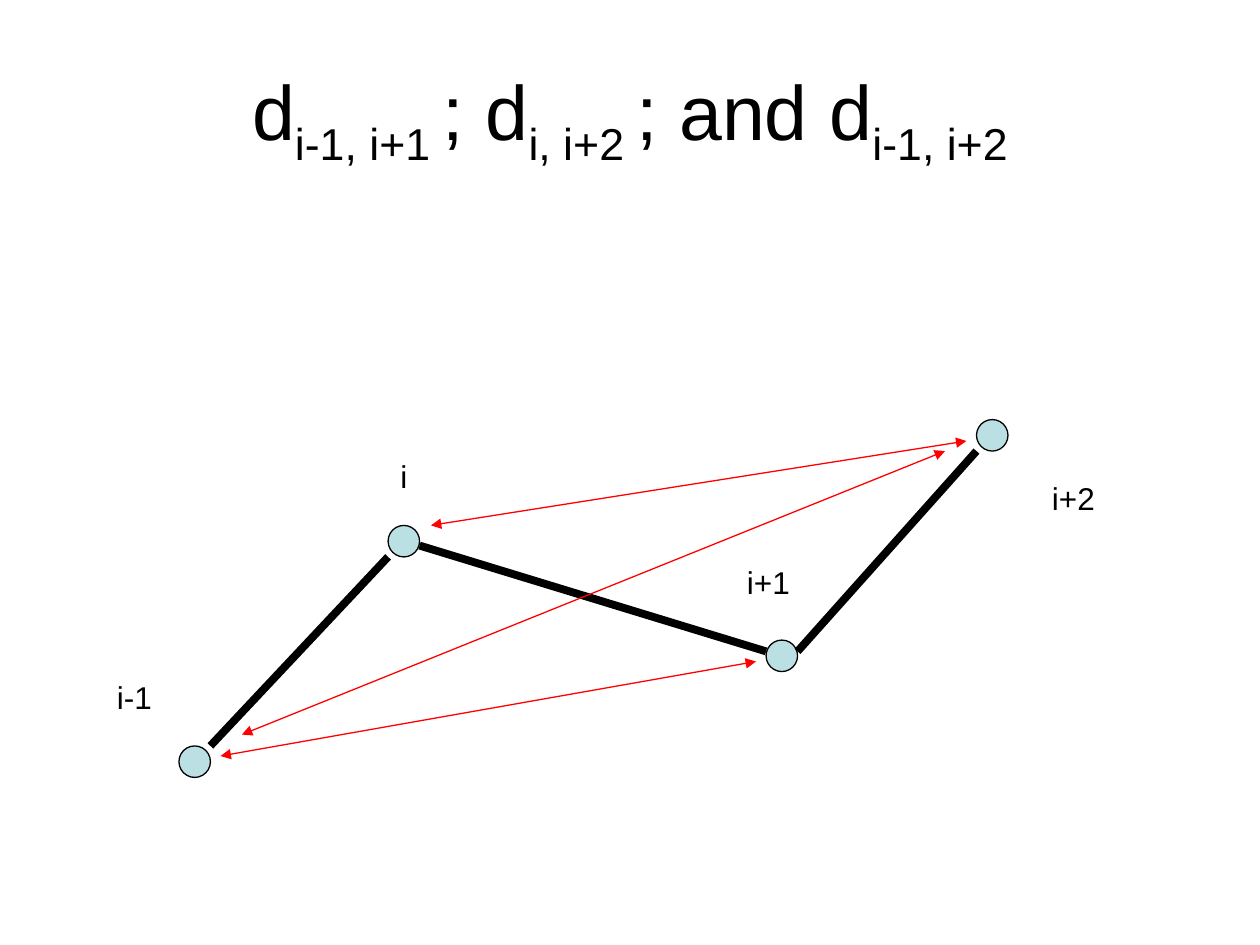
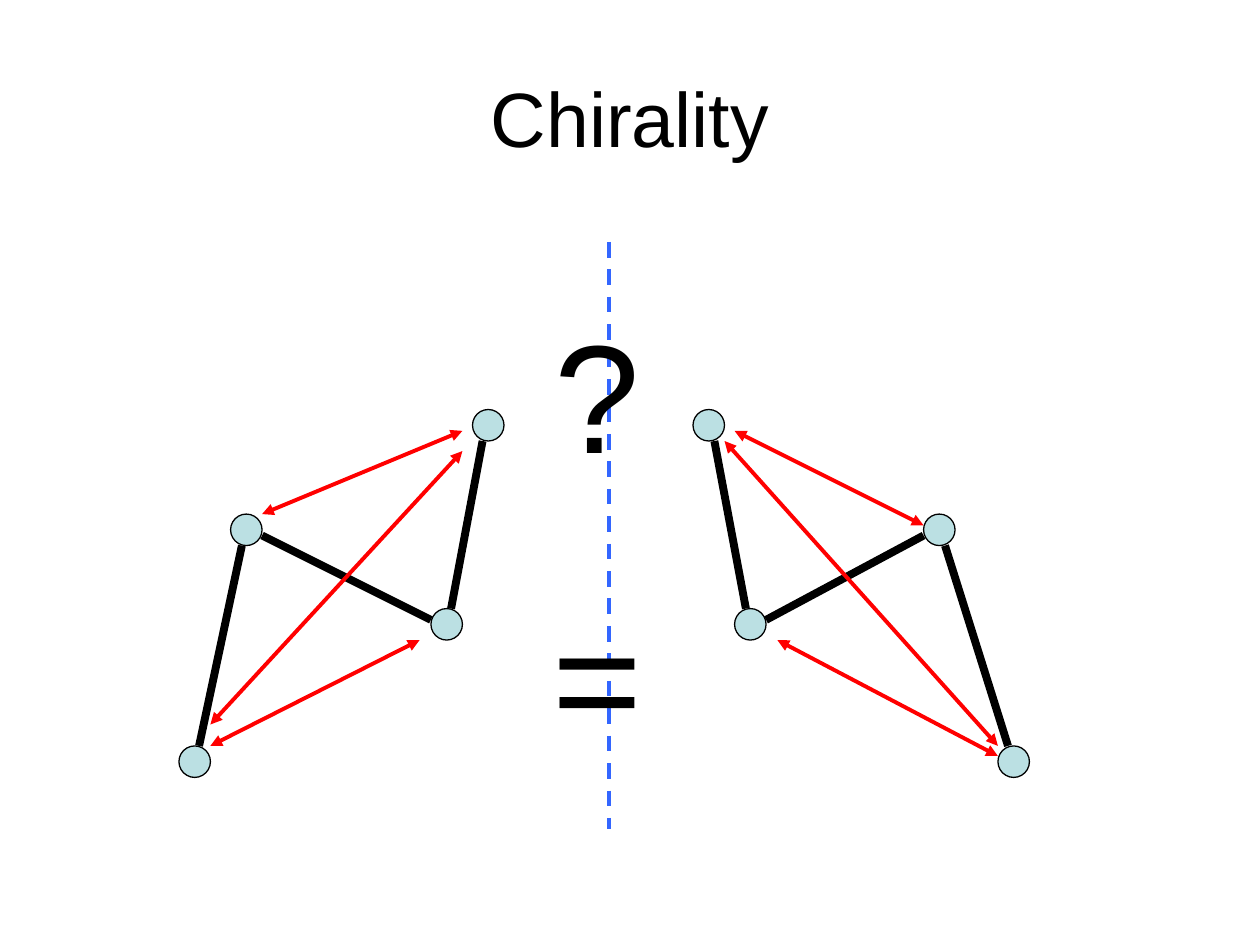
from lxml import etree
from pptx import Presentation
from pptx.dml.color import RGBColor
from pptx.enum.dml import MSO_LINE
from pptx.enum.shapes import MSO_CONNECTOR, MSO_SHAPE
from pptx.enum.text import MSO_ANCHOR, MSO_AUTO_SIZE, PP_ALIGN
from pptx.oxml.ns import qn
from pptx.util import Inches, Pt

STRAIGHT = MSO_CONNECTOR.STRAIGHT
OVAL = MSO_SHAPE.OVAL
DASH = MSO_LINE.DASH
LEFT, CENTER = PP_ALIGN.LEFT, PP_ALIGN.CENTER
MIDDLE = MSO_ANCHOR.MIDDLE
NO_AUTOFIT, GROW = MSO_AUTO_SIZE.NONE, MSO_AUTO_SIZE.SHAPE_TO_FIT_TEXT

COLORS = {"ink": "000000", "atom": "BBE0E3", "distance": "FF0000", "mirror": "3366FF"}
FONT = "Arial"
ATOM_SIZE = 0.25
BOND_WIDTH = 4.5
TITLE_BOX = (0.5, 0.3, 9, 1.25)


def color(name):
    return RGBColor.from_string(COLORS[name])


def style_runs(paragraph, size):
    for run in paragraph.runs:
        run.font.name = FONT
        run.font.size = Pt(size)
        run.font.color.rgb = color("ink")


def add_title_slide(prs, parts):
    slide = prs.slides.add_slide(prs.slide_layouts[5])
    title = slide.shapes.title
    title.left, title.top, title.width, title.height = map(Inches, TITLE_BOX)
    frame = title.text_frame
    frame.auto_size = NO_AUTOFIT
    frame.vertical_anchor = MIDDLE
    paragraph = frame.paragraphs[0]
    paragraph.alignment = CENTER
    for text, is_subscript in parts:
        run = paragraph.add_run()
        run.text = text
        if is_subscript:
            run._r.get_or_add_rPr().set("baseline", "-25000")
    style_runs(paragraph, 44)
    return slide


def add_line(slide, start, end, name, width, arrows=False, dash=None):
    line = slide.shapes.add_connector(STRAIGHT, *map(Inches, (*start, *end)))
    line.line.color.rgb = color(name)
    line.line.width = Pt(width)
    if dash:
        line.line.dash_style = dash
    if arrows:
        outline = line.line._get_or_add_ln()
        for tip in ("a:headEnd", "a:tailEnd"):
            etree.SubElement(outline, qn(tip), type="triangle")
    etree.SubElement(line._element.spPr, qn("a:effectLst"))


def add_text(slide, box, lines, size, align=LEFT, gap=0):
    frame = slide.shapes.add_textbox(*map(Inches, box)).text_frame
    frame.word_wrap = True
    frame.auto_size = GROW
    frame.text = "\n".join(lines)
    for index, paragraph in enumerate(frame.paragraphs):
        paragraph.alignment = align
        if index:
            paragraph.space_before = Pt(gap)
        style_runs(paragraph, size)


def add_chain(slide, origin, atoms, bonds, distances, arrow_width):
    def place(point):
        return origin[0] + point[0], origin[1] + point[1]

    for corner in atoms:
        atom = slide.shapes.add_shape(OVAL, *map(Inches, (*place(corner), ATOM_SIZE, ATOM_SIZE)))
        atom.shadow.inherit = False
        atom.fill.solid()
        atom.fill.fore_color.rgb = color("atom")
        atom.line.color.rgb = color("ink")
        atom.line.width = Pt(0.75)
    for start, end in bonds:
        add_line(slide, place(start), place(end), "ink", BOND_WIDTH)
    for start, end in distances:
        add_line(slide, place(start), place(end), "distance", arrow_width, arrows=True)


def add_atom_labels(slide, origin, labels):
    for text, left, top, width in labels:
        add_text(slide, (origin[0] + left, origin[1] + top, width, 0.4), [text], 18)


def add_mirror(slide, box):
    left, top, width, height = box
    axis = left + 1
    add_line(slide, (axis, top), (axis, top + height), "mirror", 2.25, dash=DASH)
    add_text(slide, (left, top + 0.41, width, 3.8), ["?", "="], 88, CENTER, 55)


def build_distances(prs):
    slide = add_title_slide(prs, [
        ("d", False), ("i-1, i+1 ", True), ("; d", False),
        ("i, i+2 ", True), ("; and d", False), ("i-1, i+2", True),
    ])
    origin = (1.42, 3.33)
    add_chain(
        slide, origin,
        atoms=[(0, 2.59), (1.66, 0.84), (4.66, 1.75), (6.33, 0)],
        bonds=[((0.25, 2.59), (1.66, 1.09)), ((1.91, 1), (4.66, 1.84)),
               ((4.91, 1.84), (6.33, 0.25))],
        distances=[((0.33, 2.67), (4.58, 1.92)), ((2, 0.84), (6.25, 0.17)),
                   ((0.5, 2.5), (6.08, 0.25))],
        arrow_width=0.75,
    )
    add_atom_labels(slide, origin, [
        ("i", 1.66, 0.25, 0.5), ("i+1", 4.41, 1.09, 0.83),
        ("i-1", -0.59, 2, 0.5), ("i+2", 6.83, 0.42, 0.75),
    ])


def build_chirality(prs):
    slide = add_title_slide(prs, [("Chirality", False)])
    add_chain(
        slide, (1.42, 3.25),
        atoms=[(0, 2.67), (0.41, 0.83), (2, 1.58), (2.33, 0)],
        bonds=[((0.16, 2.67), (0.5, 1.08)), ((0.66, 1), (2, 1.67)),
               ((2.16, 1.58), (2.41, 0.25))],
        distances=[((0.66, 0.83), (2.25, 0.17)), ((0.25, 2.5), (2.25, 0.33)),
                   ((0.25, 2.67), (1.91, 1.83))],
        arrow_width=2.25,
    )
    add_chain(
        slide, (5.5, 3.25),
        atoms=[(2.42, 2.67), (0.33, 1.58), (1.83, 0.83), (0, 0)],
        bonds=[((0.58, 1.67), (1.83, 1)), ((2, 1.08), (2.5, 2.67)),
               ((0.42, 1.58), (0.17, 0.25))],
        distances=[((0.33, 0.17), (1.83, 0.92)), ((0.25, 0.25), (2.42, 2.67)),
                   ((0.67, 1.83), (2.42, 2.75))],
        arrow_width=2.25,
    )
    add_mirror(slide, (3.83, 1.92, 1.83, 4.66))


def main():
    prs = Presentation()
    prs.slide_width, prs.slide_height = Inches(10), Inches(7.5)
    build_distances(prs)
    build_chirality(prs)
    prs.save("out.pptx")


if __name__ == "__main__":
    main()
